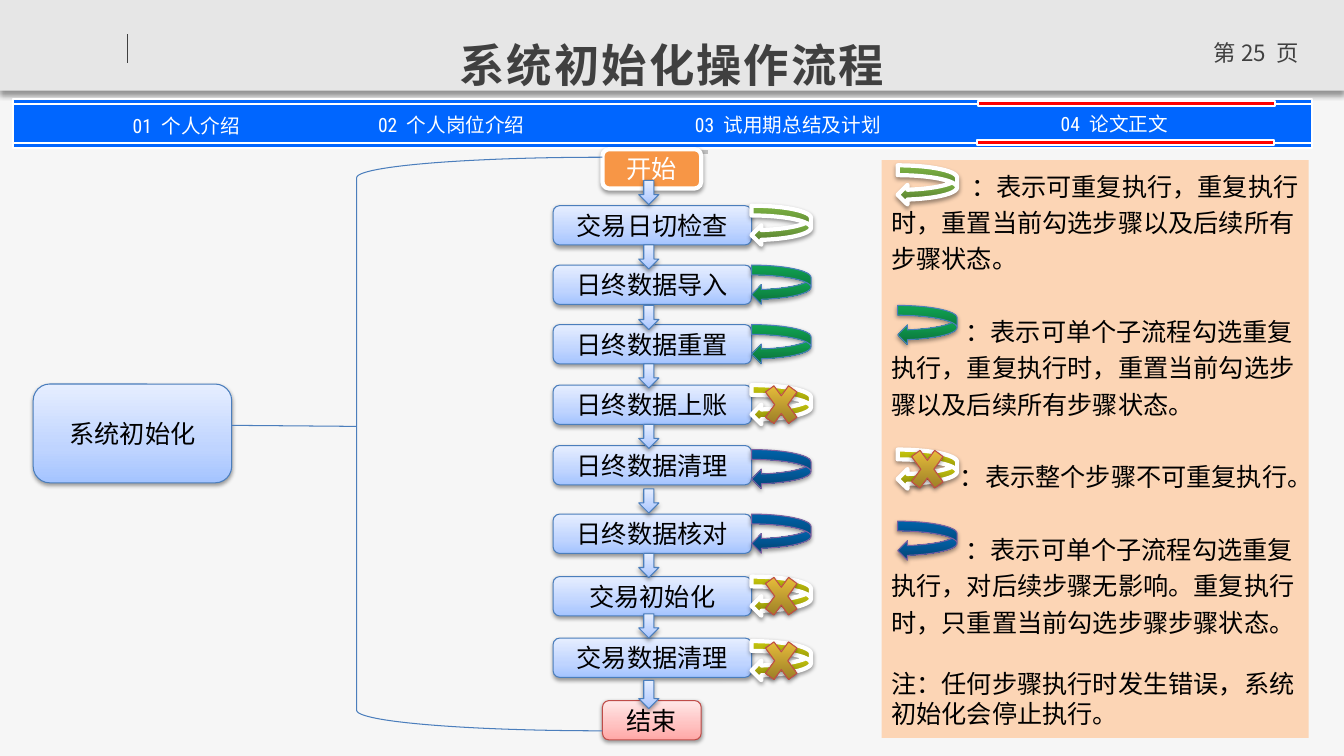
from lxml.etree import SubElement
from pptx import Presentation
from pptx.dml.color import RGBColor
from pptx.enum.shapes import MSO_CONNECTOR as Line, MSO_SHAPE as Shape
from pptx.enum.text import MSO_ANCHOR as Anchor, PP_ALIGN as Align
from pptx.oxml.ns import qn
from pptx.util import Inches, Pt

WHITE = RGBColor(0xFF, 0xFF, 0xFF)
BLACK = RGBColor(0x00, 0x00, 0x00)
PAPER = RGBColor(0xF6, 0xF6, 0xF6)
BAND = RGBColor(0xE6, 0xE6, 0xE6)
INK = RGBColor(0x40, 0x40, 0x40)
GREY = RGBColor(0xBF, 0xBF, 0xBF)
BLUE = RGBColor(0x00, 0x66, 0xFF)
EDGE = RGBColor(0x4B, 0x7E, 0xBC)
PURPLE = RGBColor(0x7D, 0x60, 0xA0)
BRICK = RGBColor(0xBF, 0x4C, 0x48)
RED = RGBColor(0xFF, 0x00, 0x00)
ORANGE = RGBColor(0xF7, 0x96, 0x46)
PEACH = RGBColor(0xFC, 0xD5, 0xB5)
SKY_BLEND = (RGBColor(0xA4, 0xC4, 0xFF), RGBColor(0xBF, 0xD4, 0xFF), RGBColor(0xE6, 0xEE, 0xFF))
ROSE_BLEND = (RGBColor(0xFF, 0xA6, 0xA5), RGBColor(0xFF, 0xC0, 0xBF), RGBColor(0xFF, 0xE7, 0xE7))
LIME_BLEND = (RGBColor(0x9E, 0xE2, 0x56), RGBColor(0x52, 0x76, 0x2D))
GREEN_BLEND = (RGBColor(0x14, 0xCD, 0x68), RGBColor(0x0B, 0x6E, 0x38))
YELLOW_BLEND = (RGBColor(0xFB, 0xFB, 0x11), RGBColor(0x83, 0x83, 0x09))
NAVY_BLEND = (RGBColor(0x00, 0x7B, 0xD3), RGBColor(0x03, 0x43, 0x73))
GOLD_BLEND = (RGBColor(0xFE, 0xCF, 0x40), RGBColor(0x84, 0x6C, 0x21))

CJK = "Noto Sans CJK SC"
LOOPS = {
    "all": (LIME_BLEND, WHITE, 3),
    "single": (GREEN_BLEND, EDGE, 0.75),
    "never": (YELLOW_BLEND, WHITE, 3),
    "alone": (NAVY_BLEND, PURPLE, 0.75),
}
STEPS = [
    ("交易日切检查", 20.4, 20.4, "all"),
    ("日终数据导入", 26.3, 26.3, "single"),
    ("日终数据重置", 32.2, 32.2, "single"),
    ("日终数据上账", 38.2, 38.2, "never"),
    ("日终数据清理", 44.2, 44.6, "alone"),
    ("日终数据核对", 51, 51, "alone"),
    ("交易初始化", 57.2, 57.2, "never"),
    ("交易数据清理", 63.3, 63.6, "never"),
]
ARROW_ROWS = [17.9, 24.3, 30.3, 36.1, 42.1, 48.5, 54.9, 60.9, 67.5]
TABS = [
    ("01", "个人介绍", 6.1, 11.3, "Roboto Condensed"),
    ("02", "个人岗位介绍", 32.4, 11.2, "Roboto Condensed"),
    ("03", "试用期总结及计划", 65.8, 11.2, CJK),
    ("04", "论文正文", 98.2, 11.1, "Roboto Condensed"),
]
LEGEND = [
    ("：表示可重复执行，重复执行时，重置当前勾选步骤以及后续所有步骤状态。", 7.9, 0, 1.2),
    ("：表示可单个子流程勾选重复执行，重复执行时，重置当前勾选步骤以及后续所有步骤状态。", 7.35, 26, 1.2),
    ("：表示整个步骤不可重复执行。", 6.8, 26, 1.2),
    ("：表示可单个子流程勾选重复执行，对后续步骤无影响。重复执行时，只重置当前勾选步骤步骤状态。", 7.35, 26, 1.2),
    ("注：任何步骤执行时发生错误，系统初始化会停止执行。", 0, 22, 1),
]
LEGEND_LOOPS = [("all", 16.4), ("single", 30.3), ("never", 44.6), ("alone", 51.7)]


class FlowSlide:
    """Draws on one slide whose grid cells are a tenth of an inch square."""

    def __init__(self, deck):
        self.cell = Inches(0.1)
        self.page = deck.slides.add_slide(deck.slide_layouts[6])
        self.page.background.fill.solid()
        self.page.background.fill.fore_color.rgb = PAPER

    def grid(self, *lengths):
        return [round(length * self.cell) for length in lengths]

    def blend(self, box, colours, angle):
        box.fill.gradient()
        gradient = box.fill._fill._gradFill
        for child in list(gradient):
            gradient.remove(child)
        stops = SubElement(gradient, qn("a:gsLst"))
        for place, colour in zip((0, 35, 100) if len(colours) == 3 else (0, 100), colours):
            stop = SubElement(stops, qn("a:gs"), pos=str(place * 1000))
            SubElement(stop, qn("a:srgbClr"), val=str(colour))
        SubElement(gradient, qn("a:lin"), ang=str(angle * 60000), scaled="0")

    def shadow(self, box, alpha, blur, distance):
        effects = box._element.spPr.find(qn("a:effectLst"))
        outer = SubElement(effects, qn("a:outerShdw"), blurRad=str(Pt(blur)), dist=str(Pt(distance)),
                           dir="5400000", algn="ctr", rotWithShape="0")
        colour = SubElement(outer, qn("a:srgbClr"), val=str(BLACK))
        SubElement(colour, qn("a:alpha"), val=str(alpha * 1000))

    def shape(self, kind, place, fill=None, line=None, weight=0.75, shadow=None, angle=270):
        box = self.page.shapes.add_shape(kind, *self.grid(*place))
        box.shadow.inherit = False
        if fill is None:
            box.fill.background()
        elif isinstance(fill, RGBColor):
            box.fill.solid()
            box.fill.fore_color.rgb = fill
        else:
            self.blend(box, fill, angle)
        if line is None:
            box.line.fill.background()
        else:
            box.line.color.rgb = line
            box.line.width = Pt(weight)
        if shadow:
            self.shadow(box, *shadow)
        return box

    def raised(self, kind, place, fill, line=EDGE, weight=0.75, angle=270):
        return self.shape(kind, place, fill, line, weight, (38, 3.1, 1.6), angle)

    def span(self, para, text, size, font, colour, bold=False, spacing=0):
        span = para.add_run()
        span.text = text
        span.font.size = Pt(size)
        span.font.name = font
        span.font.bold = bold
        span.font.color.rgb = colour
        properties = span._r.get_or_add_rPr()
        properties.set("lang", "zh-CN")
        if spacing:
            properties.set("spc", str(round(spacing * 100)))
        east_asian = SubElement(properties, qn("a:ea"))
        east_asian.set("typeface", font)

    def text(self, place, anchor=Anchor.TOP, inset=True):
        frame = self.page.shapes.add_textbox(*self.grid(*place)).text_frame
        frame.word_wrap = True
        frame.vertical_anchor = anchor
        if not inset:
            frame.margin_left = frame.margin_right = frame.margin_top = frame.margin_bottom = 0
        frame.paragraphs[0].alignment = Align.CENTER
        return frame.paragraphs[0]

    def node(self, label, place, fill=SKY_BLEND, line=EDGE, weight=0.75, colour=BLACK):
        box = self.raised(Shape.ROUNDED_RECTANGLE, place, fill, line, weight)
        box.text_frame.vertical_anchor = Anchor.MIDDLE
        para = box.text_frame.paragraphs[0]
        para.alignment = Align.CENTER
        self.span(para, label, 18, "Calibri", colour)

    def line(self, start, end, colour, weight=0.75):
        link = self.page.shapes.add_connector(Line.STRAIGHT, *self.grid(*start, *end))
        link.line.color.rgb = colour
        link.line.width = Pt(weight)
        SubElement(link._element.spPr, qn("a:effectLst"))

    def loop(self, kind, column, row):
        fill, line, weight = LOOPS[kind]
        self.raised(Shape.CURVED_LEFT_ARROW, (column, row, 5.9, 3.9), fill, line, weight, 90)
        if kind == "never":
            self.raised(Shape.MATH_MULTIPLY, (column + 0.75, row - 1.05, 4.4, 6), GOLD_BLEND, BRICK, angle=90)

    def legend(self, place):
        frame = self.shape(Shape.RECTANGLE, place, PEACH).text_frame
        frame.vertical_anchor = Anchor.TOP
        for number, (words, indent, before, spacing) in enumerate(LEGEND):
            para = frame.add_paragraph() if number else frame.paragraphs[0]
            para.alignment = Align.LEFT
            para.line_spacing = spacing
            para.space_before = Pt(before)
            para._p.get_or_add_pPr().set("indent", str(self.grid(indent)[0]))
            self.span(para, words, 18, "Calibri", BLACK)


def main():
    deck = Presentation()
    deck.slide_width, deck.slide_height = Inches(13.34), Inches(7.5)
    flow = FlowSlide(deck)

    flow.shape(Shape.RECTANGLE, (0, 0, 133.4, 9), BAND, shadow=(40, 4, 3))
    flow.line((12.7, 3.4), (12.7, 6.3), INK)
    number = flow.text((118.7, 3.4, 12, 4))
    for words, spacing in (("第 25", 0), (" ", 4), ("页", 0)):
        flow.span(number, words, 16, CJK, INK, spacing=spacing)
    for row, height in ((10.3, 4.3), (14.2, 0.5), (9.8, 0.5)):
        flow.shape(Shape.RECTANGLE, (1.3, row, 128.9, height), BLUE, WHITE, 1.5)
    for index, label, column, row, font in TABS:
        tab = flow.text((column, row, 24.8, 2.4), Anchor.MIDDLE, inset=False)
        flow.span(tab, index, 14, "Roboto Condensed", WHITE)
        flow.span(tab, " ", 14, "Roboto Condensed", WHITE, spacing=3.5)
        flow.span(tab, label, 14, font, WHITE)
    title = flow.text((8.6, 3.2, 116.2, 7.1))
    flow.span(title, "系统初始化操作流程", 32.4, "Arial", INK, bold=True, spacing=1.5)
    flow.line((63.1, 15.1), (70.3, 15.1), GREY, 3)

    for label, row, _, _ in STEPS:
        flow.node(label, (54.9, row, 19.7, 3.9))
    flow.node("开始", (59.8, 14.8, 9.8, 3.9), ORANGE, WHITE, 3, WHITE)
    flow.node("结束", (59.8, 69.5, 9.8, 3.9), ROSE_BLEND, BRICK)
    flow.node("系统初始化", (3.3, 38.1, 19.7, 9.8))
    for row in ARROW_ROWS:
        height = 2.8 if row == ARROW_ROWS[-1] else 2.4
        flow.raised(Shape.DOWN_ARROW, (63.4, row, 2, height), SKY_BLEND)
    flow.shape(Shape.LEFT_BRACKET, (35.4, 15.6, 24.4, 56.9), line=EDGE)
    flow.line((23, 42.2), (35.4, 42.3), EDGE)
    for _, _, row, kind in STEPS:
        flow.loop(kind, 74.6, row)

    flow.legend((87.5, 15.9, 42.4, 57.3))
    for kind, row in LEGEND_LOOPS:
        flow.loop(kind, 89.1, row)
    for column, row in ((97.1, 10), (97, 13.9)):
        flow.shape(Shape.RECTANGLE, (column, row, 29.5, 0.5), RED, WHITE, 1.5)
    deck.save("out.pptx")


if __name__ == "__main__":
    main()
